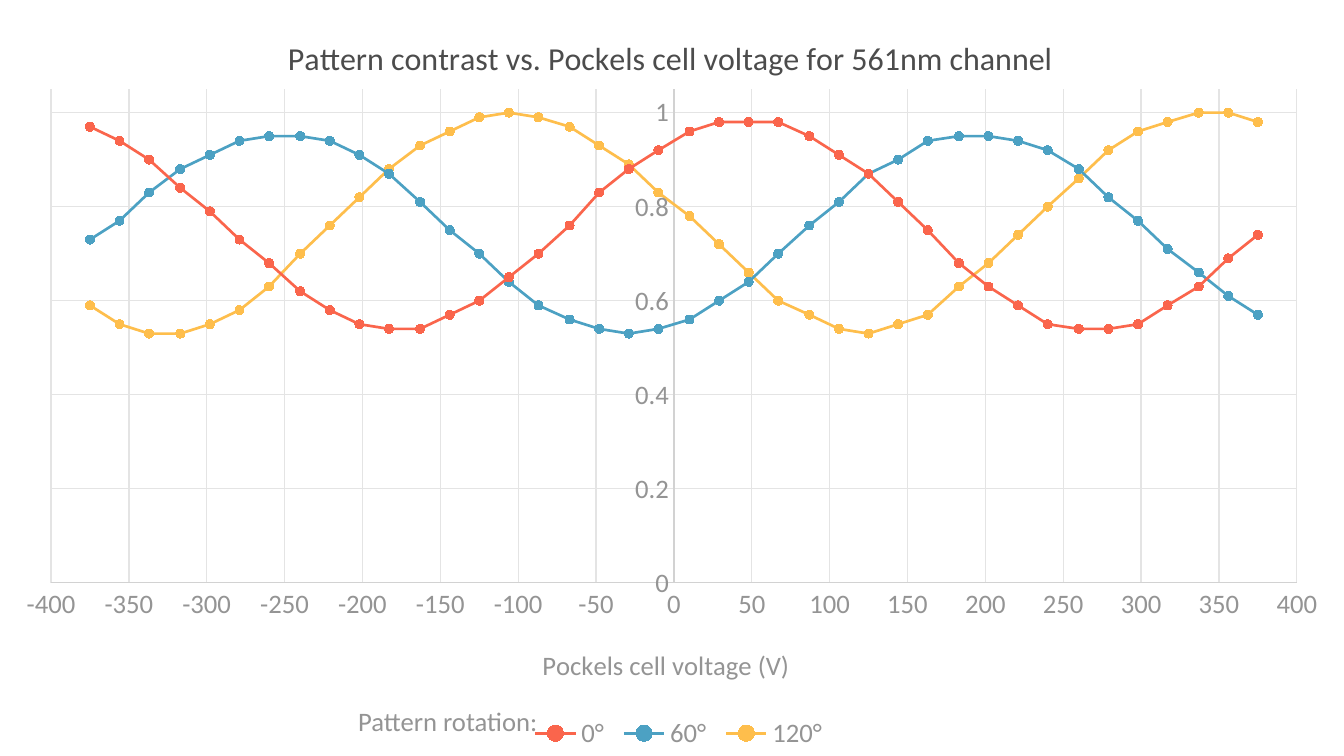
from dataclasses import dataclass

from lxml import etree
from pptx import Presentation
from pptx import util as u
from pptx.chart import data as chart_data
from pptx.dml.color import RGBColor
from pptx.enum import chart as ch
from pptx.oxml import ns

FONT = "Calibri"
GRAY = "949494"
AXIS_COLOR = "D2D2D2"
GRID_COLOR = "E4E4E4"
TITLE_COLOR = "4C4C4C"
POINT_COUNT = 40
VOLTAGES = [round(-375 + 750 * i / (POINT_COUNT - 1)) for i in range(POINT_COUNT)]


@dataclass
class Rotation:
    angle: str
    color: str
    contrasts: list[float]


ROTATIONS = [
    Rotation("0°", "FA654C", [
        0.97, 0.94, 0.9, 0.84, 0.79, 0.73, 0.68, 0.62, 0.58, 0.55,
        0.54, 0.54, 0.57, 0.6, 0.65, 0.7, 0.76, 0.83, 0.88, 0.92,
        0.96, 0.98, 0.98, 0.98, 0.95, 0.91, 0.87, 0.81, 0.75, 0.68,
        0.63, 0.59, 0.55, 0.54, 0.54, 0.55, 0.59, 0.63, 0.69, 0.74]),
    Rotation("60°", "4CA1C3", [
        0.73, 0.77, 0.83, 0.88, 0.91, 0.94, 0.95, 0.95, 0.94, 0.91,
        0.87, 0.81, 0.75, 0.7, 0.64, 0.59, 0.56, 0.54, 0.53, 0.54,
        0.56, 0.6, 0.64, 0.7, 0.76, 0.81, 0.87, 0.9, 0.94, 0.95,
        0.95, 0.94, 0.92, 0.88, 0.82, 0.77, 0.71, 0.66, 0.61, 0.57]),
    Rotation("120°", "FEBE4C", [
        0.59, 0.55, 0.53, 0.53, 0.55, 0.58, 0.63, 0.7, 0.76, 0.82,
        0.88, 0.93, 0.96, 0.99, 1, 0.99, 0.97, 0.93, 0.89, 0.83,
        0.78, 0.72, 0.66, 0.6, 0.57, 0.54, 0.53, 0.55, 0.57, 0.63,
        0.68, 0.74, 0.8, 0.86, 0.92, 0.96, 0.98, 1, 1, 0.98]),
]


def rgb(color: str) -> RGBColor:
    return RGBColor.from_string(color)


def style_font(font, size: float, color: str) -> None:
    font.name = FONT
    font.size = u.Pt(size)
    font.bold = False
    font.color.rgb = rgb(color)


def style_line(line, color: str, width: float) -> None:
    line.color.rgb = rgb(color)
    line.width = u.Pt(width)


def add_run(paragraph, words: str, size: float, color: str) -> None:
    run = paragraph.add_run()
    run.text = words
    style_font(run.font, size, color)


def place(part, x: float, y: float, size: tuple[float, ...] = (), inner: bool = False) -> None:
    layout = part.find(ns.qn("c:layout"))
    if layout is None:
        layout = etree.Element(ns.qn("c:layout"))
        before = [part.find(ns.qn(tag)) for tag in ("c:tx", "c:legendPos")]
        anchor = next((item for item in before if item is not None), None)
        if anchor is None:
            part.insert(0, layout)
        else:
            anchor.addnext(layout)
    for child in list(layout):
        layout.remove(child)
    manual = etree.SubElement(layout, ns.qn("c:manualLayout"))
    settings = [("layoutTarget", "inner")] if inner else []
    settings += [("xMode", "edge"), ("yMode", "edge"), ("x", x), ("y", y)]
    settings += zip(("w", "h"), size)
    for tag, value in settings:
        etree.SubElement(manual, ns.qn(f"c:{tag}")).set("val", str(value))


def style_axis(axis, low: float, high: float, step: float) -> None:
    axis.minimum_scale, axis.maximum_scale, axis.major_unit = low, high, step
    axis.major_tick_mark = axis.minor_tick_mark = ch.XL_TICK_MARK.NONE
    axis.tick_label_position = ch.XL_TICK_LABEL_POSITION.NEXT_TO_AXIS
    axis.tick_labels.number_format = "General"
    axis.tick_labels.number_format_is_linked = False
    style_font(axis.tick_labels.font, 15, GRAY)
    style_line(axis.format.line, AXIS_COLOR, 0.75)
    axis.has_major_gridlines = True
    style_line(axis.major_gridlines.format.line, GRID_COLOR, 0.75)


def add_contrast_chart(slide, width: int, height: int) -> None:
    readings = chart_data.XyChartData()
    for rotation in ROTATIONS:
        curve = readings.add_series(rotation.angle)
        for voltage, contrast in zip(VOLTAGES, rotation.contrasts):
            curve.add_data_point(voltage, contrast)
    chart = slide.shapes.add_chart(
        ch.XL_CHART_TYPE.XY_SCATTER_SMOOTH, 0, 0, width, height, readings).chart
    style_font(chart.font, 15, GRAY)
    chart.plots[0].vary_by_categories = False

    for curve, rotation in zip(chart.plots[0].series, ROTATIONS):
        curve.smooth = True
        style_line(curve.format.line, rotation.color, 1.5)
        curve.marker.style = ch.XL_MARKER_STYLE.CIRCLE
        curve.marker.size = 5
        curve.marker.format.fill.solid()
        curve.marker.format.fill.fore_color.rgb = rgb(rotation.color)
        style_line(curve.marker.format.line, rotation.color, 0.75)

    voltage_axis, contrast_axis = chart.category_axis, chart.value_axis
    style_axis(voltage_axis, -400, 400, 50)
    style_axis(contrast_axis, 0, 1.05, 0.2)

    chart.has_title = True
    heading = chart.chart_title
    add_run(heading.text_frame.paragraphs[0],
            "Pattern contrast vs. Pockels cell voltage for 561nm channel", 18, TITLE_COLOR)
    heading.include_in_layout = False
    voltage_axis.has_title = True
    voltage_title = voltage_axis.axis_title
    add_run(voltage_title.text_frame.paragraphs[0], "Pockels cell voltage (V)", 15, GRAY)

    chart.has_legend = True
    legend = chart.legend
    legend.position = ch.XL_LEGEND_POSITION.BOTTOM
    legend.include_in_layout = False
    style_font(legend.font, 15, GRAY)

    plot_area = chart.plots[0]._element.getparent()
    place(plot_area, 0.038, 0.118, (0.927, 0.653), inner=True)
    place(heading._element, 0.21, 0.04)
    place(voltage_title._element, 0.4, 0.85)
    place(legend._element, 0.39, 0.94, (0.23, 0.06))


def add_rotation_label(slide) -> None:
    label = slide.shapes.add_textbox(
        u.Inches(2.7), u.Inches(5.46), u.Inches(1.62), u.Inches(0.35))
    label.text_frame.word_wrap = False
    add_run(label.text_frame.paragraphs[0], "Pattern rotation:", 15, GRAY)


def main() -> None:
    deck = Presentation()
    deck.slide_width, deck.slide_height = u.Inches(10.5), u.Inches(5.91)
    slide = deck.slides.add_slide(deck.slide_layouts[6])
    add_contrast_chart(slide, deck.slide_width, deck.slide_height)
    add_rotation_label(slide)
    deck.save("out.pptx")


if __name__ == "__main__":
    main()
